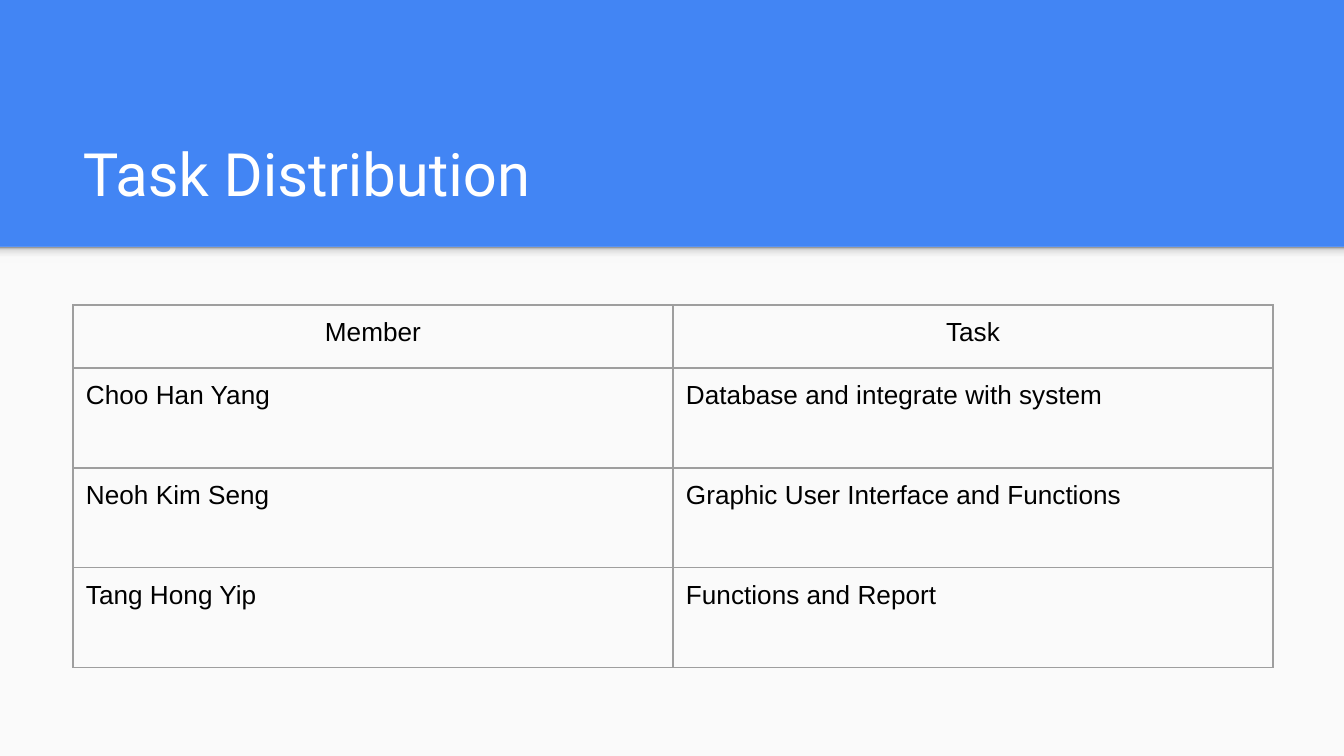
from pptx import Presentation
from pptx.dml.color import RGBColor
from pptx.enum.shapes import MSO_SHAPE
from pptx.enum.text import MSO_ANCHOR, PP_ALIGN
from pptx.oxml import parse_xml
from pptx.oxml.ns import nsdecls
from pptx.util import Pt

SCALE = 914400 / 134.4  # EMU in one px
BLUE = RGBColor(0x42, 0x85, 0xF4)
PAPER = RGBColor(0xFA, 0xFA, 0xFA)
WHITE = RGBColor(0xFF, 0xFF, 0xFF)
BLACK = RGBColor(0x00, 0x00, 0x00)
GREY = RGBColor(0x9E, 0x9E, 0x9E)
FADE = [(0, "F9F9F9"), (36, "F9F9F9"), (80, "DEDEDE"), (100, "999999")]
TASKS = [
    ("Member", "Task"),
    ("Choo Han Yang", "Database and integrate with system"),
    ("Neoh Kim Seng", "Graphic User Interface and Functions"),
    ("Tang Hong Yip", "Functions and Report"),
]


def emu(px):
    return round(px * SCALE)


class Deck:
    inset = 13

    def __init__(self, width, height, back):
        self.prs = Presentation()
        self.prs.slide_width, self.prs.slide_height = emu(width), emu(height)
        self.slide = self.prs.slides.add_slide(self.prs.slide_layouts[6])
        fill = self.slide.background.fill
        fill.solid()
        fill.fore_color.rgb = back

    def pad(self, item):
        for side in ("left", "top", "right", "bottom"):
            setattr(item, f"margin_{side}", emu(self.inset))

    def style(self, para, face, size, color):
        para.font.name, para.font.size = face, Pt(size)
        para.font.color.rgb = color

    def rect(self, *box):
        shape = self.slide.shapes.add_shape(MSO_SHAPE.RECTANGLE, *map(emu, box))
        shape.shadow.inherit = False
        shape.line.fill.background()
        return shape.fill

    def panel(self, box, color):
        fill = self.rect(*box)
        fill.solid()
        fill.fore_color.rgb = color

    def fade(self, box, stops):
        fill = self.rect(*box)
        fill.gradient()
        fill.gradient_angle = 90
        marks = "".join(
            f'<a:gs pos="{pos * 1000}"><a:srgbClr val="{color}"/></a:gs>'
            for pos, color in stops)
        old = fill._xPr.find(".//{*}gsLst")
        new = parse_xml(f'<a:gsLst {nsdecls("a")}>{marks}</a:gsLst>')
        old.getparent().replace(old, new)

    def title(self, box, text):
        frame = self.slide.shapes.add_textbox(*map(emu, box)).text_frame
        frame.word_wrap = True
        frame.vertical_anchor = MSO_ANCHOR.BOTTOM
        self.pad(frame)
        para = frame.paragraphs[0]
        para.text = text
        self.style(para, "Roboto", 32, WHITE)

    def edge(self, cell):
        props = cell._tc.get_or_add_tcPr()
        for side in "LRTB":
            props.append(parse_xml(
                f'<a:ln{side} {nsdecls("a")} w="{Pt(0.75)}"><a:solidFill>'
                f'<a:srgbClr val="{GREY}"/></a:solidFill></a:ln{side}>'))

    def table(self, left, top, width, heights, rows):
        count = len(rows[0])
        grid = self.slide.shapes.add_table(
            len(rows), count, emu(left), emu(top),
            emu(width * count), emu(sum(heights))).table
        grid.first_row = grid.horz_banding = False
        for col in grid.columns:
            col.width = emu(width)
        for r, (row, height) in enumerate(zip(rows, heights)):
            grid.rows[r].height = emu(height)
            for c, text in enumerate(row):
                cell = grid.cell(r, c)
                self.edge(cell)
                cell.fill.background()
                self.pad(cell)
                cell.text = text
                para = cell.text_frame.paragraphs[0]
                para.alignment = PP_ALIGN.LEFT if r else PP_ALIGN.CENTER
                self.style(para, "Arial", 14, BLACK)


def main():
    deck = Deck(1344, 756, BLUE)
    # Page body with a soft edge under the blue band
    deck.panel((0, 247, 1344, 509), PAPER)
    deck.fade((0, 247, 1344, 16), FADE)
    # Heading
    deck.title((70, 109, 1208, 113), "Task Distribution")
    # Members and their tasks
    deck.table(73, 305, 600, [63, 100, 100, 100], TASKS)
    deck.prs.save("out.pptx")


if __name__ == "__main__":
    main()
